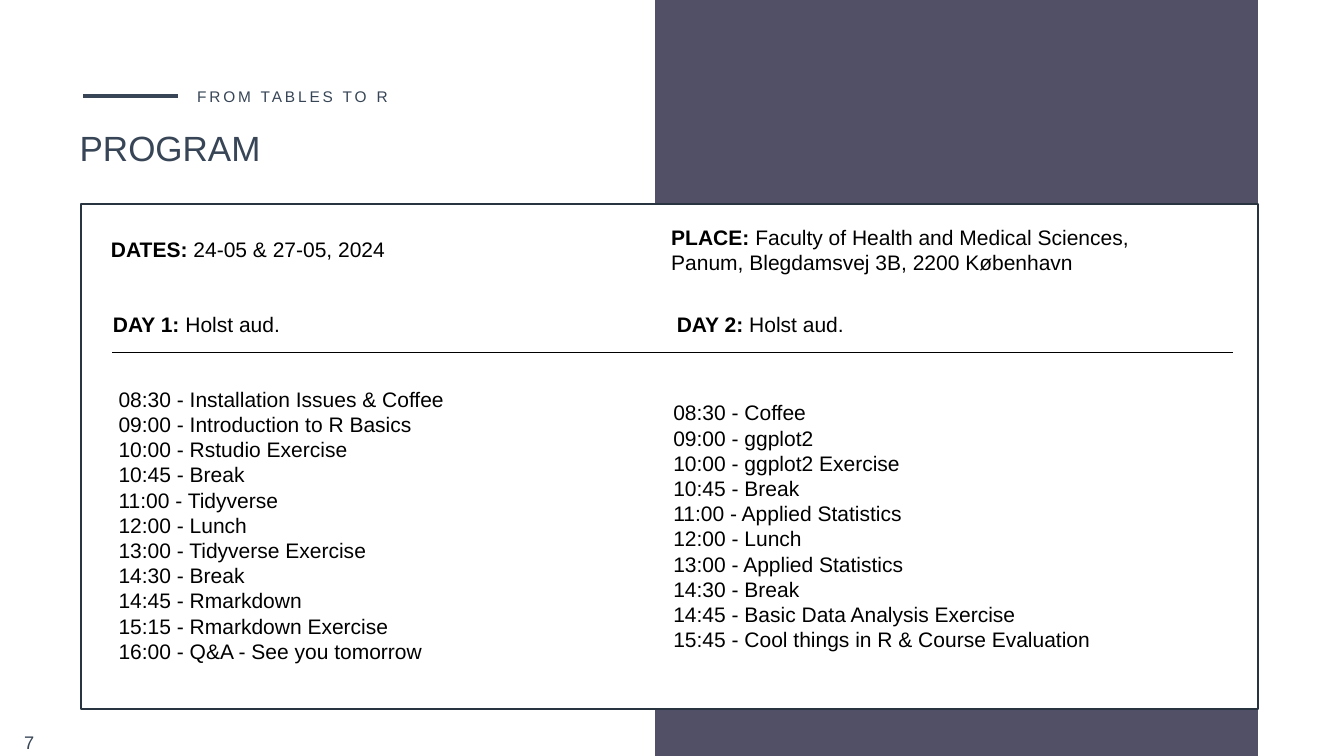
from dataclasses import dataclass

from lxml.etree import SubElement
from pptx import Presentation
from pptx.dml.color import RGBColor
from pptx.enum.shapes import MSO_CONNECTOR, MSO_SHAPE
from pptx.enum.text import MSO_ANCHOR, MSO_AUTO_SIZE
from pptx.oxml.ns import qn
from pptx.util import Inches, Pt


@dataclass(frozen=True)
class Theme:
    font: str = "Arial"
    heading: RGBColor = RGBColor(0x37, 0x45, 0x56)
    band: RGBColor = RGBColor(0x52, 0x50, 0x67)
    frame: RGBColor = RGBColor(0x29, 0x34, 0x41)
    paper: RGBColor = RGBColor(0xFF, 0xFF, 0xFF)
    ink: RGBColor = RGBColor(0, 0, 0)
    title_size: int = 50
    kicker_size: int = 22
    number_size: int = 26
    body_size: int = 30


theme = Theme()


def add_text(shapes, box, lines, label="", size=theme.body_size, color=theme.ink,
             anchor=MSO_ANCHOR.MIDDLE, inset=0.06, wrap=False, grow=True, tracking=0):
    """Add one paragraph per line; a label goes in bold before the first line."""
    frame = shapes.add_textbox(*map(Inches, box)).text_frame
    frame.word_wrap = wrap
    frame.auto_size = MSO_AUTO_SIZE.SHAPE_TO_FIT_TEXT if grow else MSO_AUTO_SIZE.NONE
    frame.vertical_anchor = anchor
    frame.margin_left = frame.margin_right = Inches(inset)
    frame.margin_top = frame.margin_bottom = Inches(inset)
    for index, line in enumerate(lines):
        paragraph = frame.add_paragraph() if index else frame.paragraphs[0]
        parts = [(line, False)]
        if label and index == 0:
            parts.insert(0, (label, True))
        for content, bold in parts:
            run = paragraph.add_run()
            run.text = content
            run.font.name = theme.font
            run.font.size = Pt(size)
            run.font.bold = bold
            run.font.color.rgb = color
            if tracking:
                run.font._element.set("spc", str(round(tracking * 100)))


def add_rule(shapes, left, right, y, color, width):
    rule = shapes.add_connector(MSO_CONNECTOR.STRAIGHT, Inches(left), Inches(y),
                                Inches(right), Inches(y))
    rule.line.color.rgb = color
    rule.line.width = Pt(width)
    SubElement(rule._element.spPr, qn("a:effectLst"))


presentation = Presentation()
presentation.slide_width = Inches(26.65)
presentation.slide_height = Inches(15)
slide = presentation.slides.add_slide(presentation.slide_layouts[6])
shapes = slide.shapes

# Colour band
band = shapes.add_shape(MSO_SHAPE.RECTANGLE, Inches(12.99), 0, Inches(11.95), Inches(15))
band.shadow.inherit = False
band.fill.solid()
band.fill.fore_color.rgb = theme.band
band.line.fill.background()

# Heading
heading = shapes.add_group_shape().shapes
add_text(heading, (1.53, 2.46, 10.37, 3.01), ["PROGRAM"], size=theme.title_size,
         color=theme.heading, anchor=MSO_ANCHOR.TOP, inset=0.05, wrap=True, grow=False)
add_text(heading, (3.86, 1.67, 7.07, 0.48), ["FROM TABLES TO R"], size=theme.kicker_size,
         color=theme.heading, anchor=MSO_ANCHOR.TOP, inset=0.05, wrap=True, grow=False,
         tracking=4.1)
add_rule(heading, 1.65, 3.52, 1.91, theme.heading, 6)

# Program panel
panel = shapes.add_shape(MSO_SHAPE.RECTANGLE, Inches(1.6), Inches(4.04),
                         Inches(23.34), Inches(10.03))
panel.shadow.inherit = False
panel.fill.solid()
panel.fill.fore_color.rgb = theme.paper
panel.line.color.rgb = theme.frame
panel.line.width = Pt(3)

add_text(shapes, (0.42, 14.46, 0.45, 0.54), ["7"], size=theme.number_size,
         color=theme.heading, wrap=True)
add_text(shapes, (2.14, 4.64, 5.56, 0.61), ["24-05 & 27-05, 2024"], label="DATES: ")
add_text(shapes, (13.25, 4.39, 10.37, 1.11),
         ["Faculty of Health and Medical Sciences, Panum, Blegdamsvej 3B, 2200 København"],
         label="PLACE: ", wrap=True)

# The two days
days = [
    ("DAY 1: ", (2.18, 6.12, 3.48, 0.61), (2.29, 7.61, 6.58, 5.61), [
        "08:30 - Installation Issues & Coffee",
        "09:00 - Introduction to R Basics",
        "10:00 - Rstudio Exercise",
        "10:45 - Break",
        "11:00 - Tidyverse",
        "12:00 - Lunch",
        "13:00 - Tidyverse Exercise",
        "14:30 - Break",
        "14:45 - Rmarkdown",
        "15:15 - Rmarkdown Exercise",
        "16:00 - Q&A - See you tomorrow",
    ]),
    ("DAY 2: ", (13.36, 6.12, 3.48, 0.61), (13.29, 7.88, 8.51, 5.11), [
        "08:30 - Coffee",
        "09:00 - ggplot2",
        "10:00 - ggplot2 Exercise",
        "10:45 - Break",
        "11:00 - Applied Statistics",
        "12:00 - Lunch",
        "13:00 - Applied Statistics",
        "14:30 - Break",
        "14:45 - Basic Data Analysis Exercise",
        "15:45 - Cool things in R & Course Evaluation",
    ]),
]
for day, day_box, schedule_box, schedule in days:
    add_text(shapes, day_box, ["Holst aud."], label=day)
    add_text(shapes, schedule_box, schedule)
add_rule(shapes, 2.23, 24.44, 7, theme.ink, 1)

presentation.save("out.pptx")
